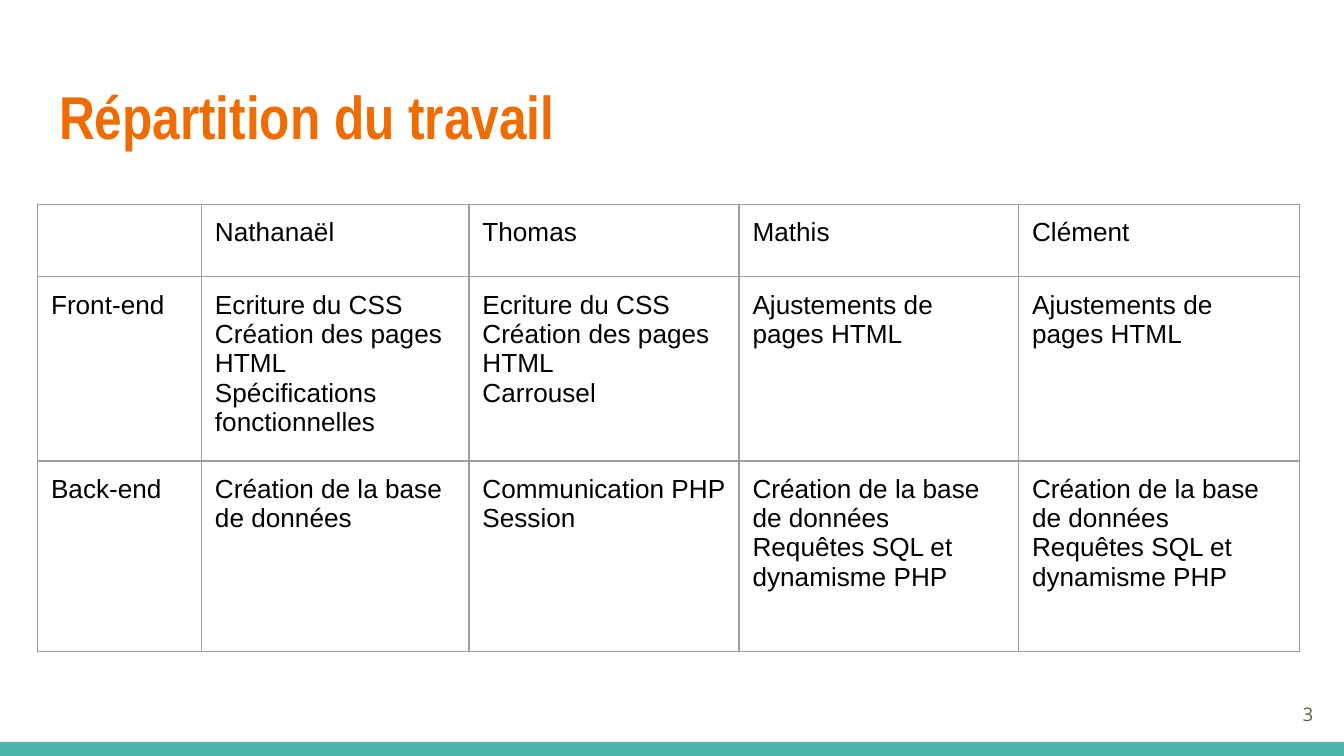
"""Build the work distribution slide with its title, task table and footer."""
from typing import NamedTuple

from lxml.etree import SubElement
from pptx import Presentation
from pptx.dml.color import RGBColor
from pptx.enum.shapes import MSO_SHAPE
from pptx.enum.text import MSO_ANCHOR, MSO_AUTO_SIZE, PP_ALIGN
from pptx.oxml.ns import qn
from pptx.slide import Slide
from pptx.table import _Cell
from pptx.text.text import TextFrame
from pptx.util import Inches, Pt

COLORS = {
    "title": "EF6C00",
    "footer": "4DB6AC",
    "number": "695D46",
    "text": "000000",
    "border": "9E9E9E",
}


class TextStyle(NamedTuple):
    font: str
    size: float
    color: str
    bold: bool = False
    align: PP_ALIGN = PP_ALIGN.LEFT


class TaskRow(NamedTuple):
    height: float
    cells: list[str]


TITLE = TextStyle("Arial Narrow", 32.4, "title", bold=True)
NUMBER = TextStyle("Open Sans", 10, "number", align=PP_ALIGN.RIGHT)
BODY = TextStyle("Arial", 14, "text")

COLUMN_WIDTHS = [1.22, 1.99, 2.01, 2.08, 2.09]
PAGES = "Ecriture du CSS\nCréation des pages HTML"
ADJUSTMENTS = "Ajustements de pages HTML"
DATABASE = "Création de la base de données"
QUERIES = f"{DATABASE}\nRequêtes SQL et dynamisme PHP"
ROWS = [
    TaskRow(0.54, ["", "Nathanaël", "Thomas", "Mathis", "Clément"]),
    TaskRow(1.37, ["Front-end", f"{PAGES}\nSpécifications fonctionnelles",
                   f"{PAGES}\nCarrousel", ADJUSTMENTS, ADJUSTMENTS]),
    TaskRow(1.42, ["Back-end", DATABASE, "Communication PHP Session", QUERIES, QUERIES]),
]


def write(frame: TextFrame, text: str, style: TextStyle) -> None:
    """Fill a text frame and style each of its paragraphs."""
    frame.text = text
    for paragraph in frame.paragraphs:
        paragraph.alignment = style.align
        paragraph.font.name = style.font
        paragraph.font.size = Pt(style.size)
        paragraph.font.bold = style.bold
        paragraph.font.color.rgb = RGBColor.from_string(COLORS[style.color])


def set_margins(box: TextFrame | _Cell) -> None:
    """Give a text frame or cell the common inner margin."""
    box.margin_left = box.margin_right = Inches(0.1)
    box.margin_top = box.margin_bottom = Inches(0.1)


def set_borders(cell: _Cell) -> None:
    """Draw a thin line on all four sides of a cell."""
    properties = cell._tc.get_or_add_tcPr()
    for position, side in enumerate(("lnL", "lnR", "lnT", "lnB")):
        line = SubElement(properties, qn(f"a:{side}"), w=str(Pt(0.75)))
        fill = SubElement(line, qn("a:solidFill"))
        SubElement(fill, qn("a:srgbClr"), val=COLORS["border"])
        properties.insert(position, line)


def add_title(slide: Slide) -> None:
    """Place and fill the title placeholder."""
    title = slide.shapes.title
    title.left, title.top = Inches(0.34), Inches(0.49)
    title.width, title.height = Inches(9.32), Inches(0.77)
    frame = title.text_frame
    frame.auto_size = MSO_AUTO_SIZE.NONE
    frame.vertical_anchor = MSO_ANCHOR.TOP
    set_margins(frame)
    write(frame, "Répartition du travail", TITLE)


def add_tasks(slide: Slide) -> None:
    """Add the table of tasks per person."""
    table = slide.shapes.add_table(
        len(ROWS), len(COLUMN_WIDTHS), Inches(0.28), Inches(1.52),
        Inches(sum(COLUMN_WIDTHS)), Inches(sum(row.height for row in ROWS)),
    ).table
    table.first_row = table.horz_banding = False
    for column, width in zip(table.columns, COLUMN_WIDTHS):
        column.width = Inches(width)
    for table_row, task_row in zip(table.rows, ROWS):
        table_row.height = Inches(task_row.height)
        for cell, text in zip(table_row.cells, task_row.cells):
            cell.fill.background()
            set_margins(cell)
            set_borders(cell)
            write(cell.text_frame, text, BODY)


def add_footer(slide: Slide) -> None:
    """Add the coloured bar and the page number."""
    bar = slide.shapes.add_shape(
        MSO_SHAPE.RECTANGLE, 0, Inches(5.52), Inches(10), Inches(0.11))
    bar.shadow.inherit = False
    bar.fill.solid()
    bar.fill.fore_color.rgb = RGBColor.from_string(COLORS["footer"])
    bar.line.fill.background()

    number = slide.shapes.add_textbox(
        Inches(9.27), Inches(5.1), Inches(0.6), Inches(0.43)).text_frame
    number.word_wrap = True
    number.vertical_anchor = MSO_ANCHOR.MIDDLE
    set_margins(number)
    write(number, "3", NUMBER)


def main() -> None:
    """Create and save a widescreen presentation."""
    presentation = Presentation()
    presentation.slide_width = Inches(10)
    presentation.slide_height = Inches(10) * 9 // 16
    slide = presentation.slides.add_slide(presentation.slide_layouts[5])
    add_title(slide)
    add_tasks(slide)
    add_footer(slide)
    presentation.save("out.pptx")


if __name__ == "__main__":
    main()
